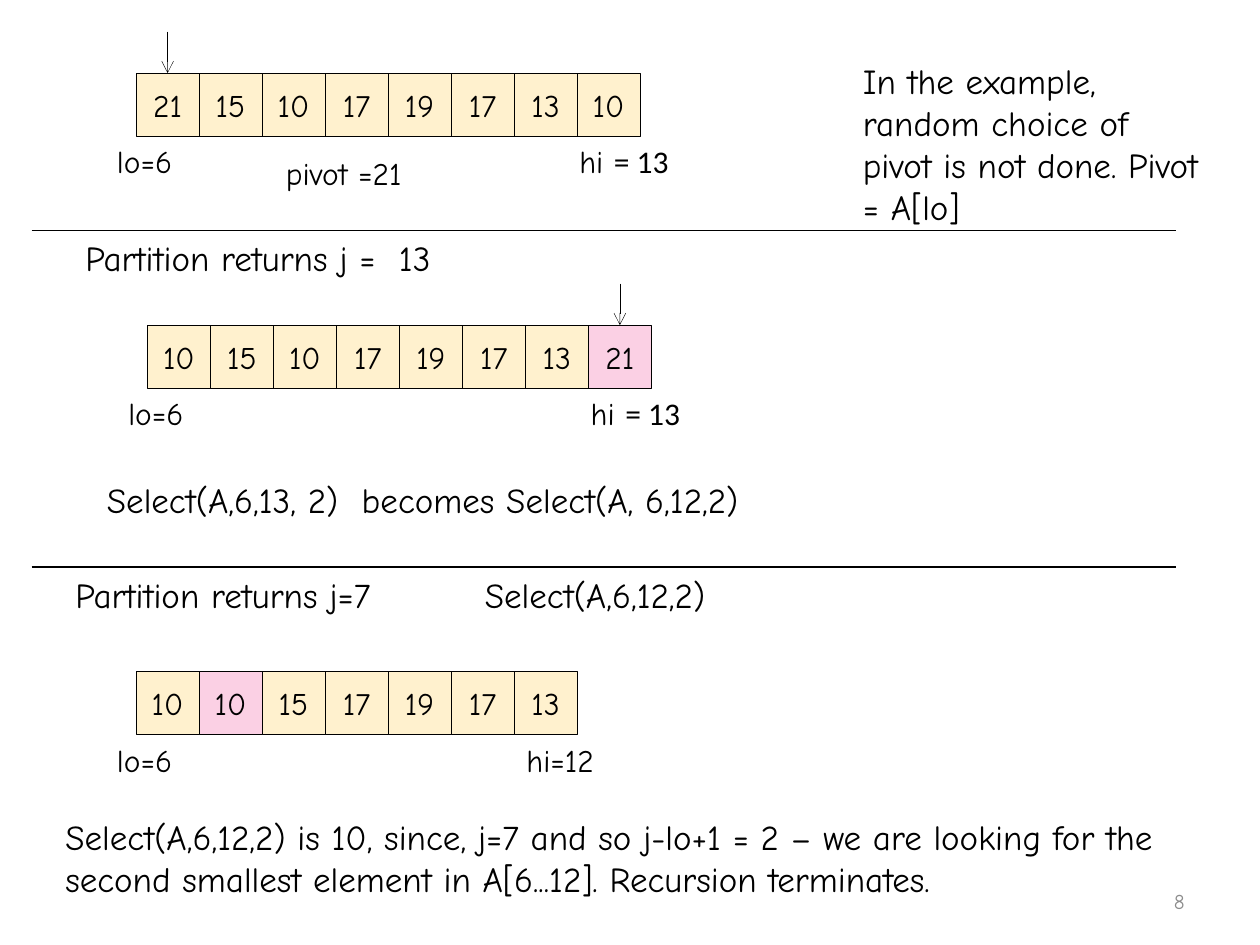
import pptx
import pptx.dml.color
import pptx.enum.shapes
import pptx.enum.text
import pptx.oxml.ns
import pptx.util
from lxml import etree
from pptx.util import Inches

BLACK = pptx.dml.color.RGBColor(0x00, 0x00, 0x00)
GRAY = pptx.dml.color.RGBColor(0x8C, 0x8C, 0x8C)
CREAM = pptx.dml.color.RGBColor(0xFF, 0xF1, 0xCE)
PINK = pptx.dml.color.RGBColor(0xFB, 0xD0, 0xE4)
FONT = "Comic Neue"
NUMBER_FONT = "Calibri"
CELL = Inches(0.5)
LABEL_HEIGHT = Inches(0.4)
SENTENCE_HEIGHT = Inches(0.44)
ALIGN = pptx.enum.text.PP_ALIGN
ANCHOR = pptx.enum.text.MSO_ANCHOR


def add_span(para, text, size=18, font=FONT, color=BLACK):
    """Append formatted text to a paragraph."""
    span = para.add_run()
    span.text = text
    span.font.size = pptx.util.Pt(size)
    span.font.name = font
    span.font.color.rgb = color


def add_text(page, text, left, top, width, height, wrap=False, grow=True,
             align=ALIGN.LEFT, anchor=ANCHOR.TOP, **span_format):
    """Add a text box and return its paragraph."""
    frame = page.shapes.add_textbox(left, top, width, height).text_frame
    frame.word_wrap = wrap
    if grow:
        frame.auto_size = pptx.enum.text.MSO_AUTO_SIZE.SHAPE_TO_FIT_TEXT
    frame.vertical_anchor = anchor
    para = frame.paragraphs[0]
    para.alignment = align
    add_span(para, text, **span_format)
    return para


def add_line(page, start, end, weight, arrow=False):
    """Add a straight black line, with an arrowhead at its end if asked."""
    line = page.shapes.add_connector(
        pptx.enum.shapes.MSO_CONNECTOR.STRAIGHT, *start, *end)
    line.line.color.rgb = BLACK
    line.line.width = pptx.util.Pt(weight)
    properties = line._element.spPr
    if arrow:
        etree.SubElement(line.line._get_or_add_ln(),
                         pptx.oxml.ns.qn("a:tailEnd"), type="arrow")
    etree.SubElement(properties, pptx.oxml.ns.qn("a:effectLst"))


def add_cell(page, value, left, top, fill):
    """Add one square of an array."""
    box = page.shapes.add_shape(
        pptx.enum.shapes.MSO_SHAPE.RECTANGLE, left, top, CELL, CELL)
    box.shadow.inherit = False
    box.fill.solid()
    box.fill.fore_color.rgb = fill
    box.line.color.rgb = BLACK
    box.line.width = pptx.util.Pt(0.25)
    box.text_frame.vertical_anchor = ANCHOR.MIDDLE
    para = box.text_frame.paragraphs[0]
    para.alignment = ALIGN.CENTER
    add_span(para, str(value))


def add_array(page, left, top, values, marked=None, pointer=None):
    """Add a row of cells with its low label and an optional pointer."""
    if pointer is not None:
        center = left + CELL * pointer + CELL // 2
        add_line(page, (center, top - Inches(0.33)), (center, top), 0.25, arrow=True)
    for index, value in enumerate(values):
        add_cell(page, value, left + CELL * index, top,
                 PINK if index == marked else CREAM)
    add_text(page, "lo=6", left - Inches(0.25), top + CELL, Inches(0.69), LABEL_HEIGHT)


def add_high_label(page, left, top):
    """Add the high label of an eight-cell array placed at left and top."""
    para = add_text(page, "hi ", left + CELL * 7 - Inches(0.08), top + CELL,
                    Inches(0.93), LABEL_HEIGHT)
    add_span(para, "= 13", font=NUMBER_FONT)


def add_divider(page, left, top):
    """Add a rule between two steps."""
    add_line(page, (left, top), (left + Inches(9.08), top), 0.75)


def add_start(page, left, top):
    """Add the array before partitioning, with the remark on the pivot."""
    row_left, row_top = left + Inches(0.83), top + Inches(0.58)
    add_array(page, row_left, row_top, [21, 15, 10, 17, 19, 17, 13, 10], pointer=0)
    add_high_label(page, row_left, row_top)
    add_text(page, "pivot =21", left + Inches(1.92), top + Inches(1.17),
             Inches(1.25), LABEL_HEIGHT)
    add_text(page, "In the example, random choice of pivot is not done. Pivot = A[lo]",
             left + Inches(6.5), top + Inches(0.42), Inches(2.92), Inches(1.45),
             wrap=True, size=20)


def add_first_partition(page, left, top):
    """Add the step in which the pivot moves to the end."""
    add_divider(page, left, top)
    add_text(page, "Partition returns j =  13", left + Inches(0.33), top,
             Inches(3.3), SENTENCE_HEIGHT, size=20)
    row_left, row_top = left + Inches(0.92), top + Inches(0.75)
    add_array(page, row_left, row_top, [10, 15, 10, 17, 19, 17, 13, 21],
              marked=7, pointer=7)
    add_high_label(page, row_left, row_top)
    add_text(page, "Select(A,6,13, 2)  becomes Select(A, 6,12,2)",
             left + Inches(0.5), top + Inches(1.92), Inches(6.02),
             SENTENCE_HEIGHT, size=20)


def add_second_partition(page, left, top):
    """Add the step that ends the recursion."""
    add_divider(page, left, top)
    add_text(page, "Partition returns j=7", left + Inches(0.25), top,
             Inches(2.92), SENTENCE_HEIGHT, size=20)
    add_text(page, "Select(A,6,12,2)", left + Inches(3.5), top,
             Inches(2.43), SENTENCE_HEIGHT, size=20)
    row_left, row_top = left + Inches(0.83), top + Inches(0.83)
    add_array(page, row_left, row_top, [10, 10, 15, 17, 19, 17, 13], marked=1)
    add_text(page, "hi=12", row_left + CELL * 6, row_top + CELL,
             Inches(0.81), LABEL_HEIGHT)
    add_text(page, "Select(A,6,12,2) is 10, since, j=7 and so j-lo+1 = 2 – we are "
             "looking for the second smallest element in A[6...12]. "
             "Recursion terminates.",
             left + Inches(0.17), top + Inches(1.92), Inches(9.08), Inches(0.77),
             wrap=True, size=20)


def main():
    """Build the quickselect slide."""
    deck = pptx.Presentation()
    deck.slide_width, deck.slide_height = Inches(10), Inches(7.5)
    page = deck.slides.add_slide(deck.slide_layouts[6])
    left = Inches(0.25)
    add_start(page, left, 0)
    add_first_partition(page, left, Inches(1.83))
    add_second_partition(page, left, Inches(4.5))
    add_text(page, "8", Inches(7.17), Inches(6.95), Inches(2.33), Inches(0.4),
             wrap=True, grow=False, align=ALIGN.RIGHT, anchor=ANCHOR.MIDDLE,
             size=12, color=GRAY)
    deck.save("out.pptx")


if __name__ == "__main__":
    main()
